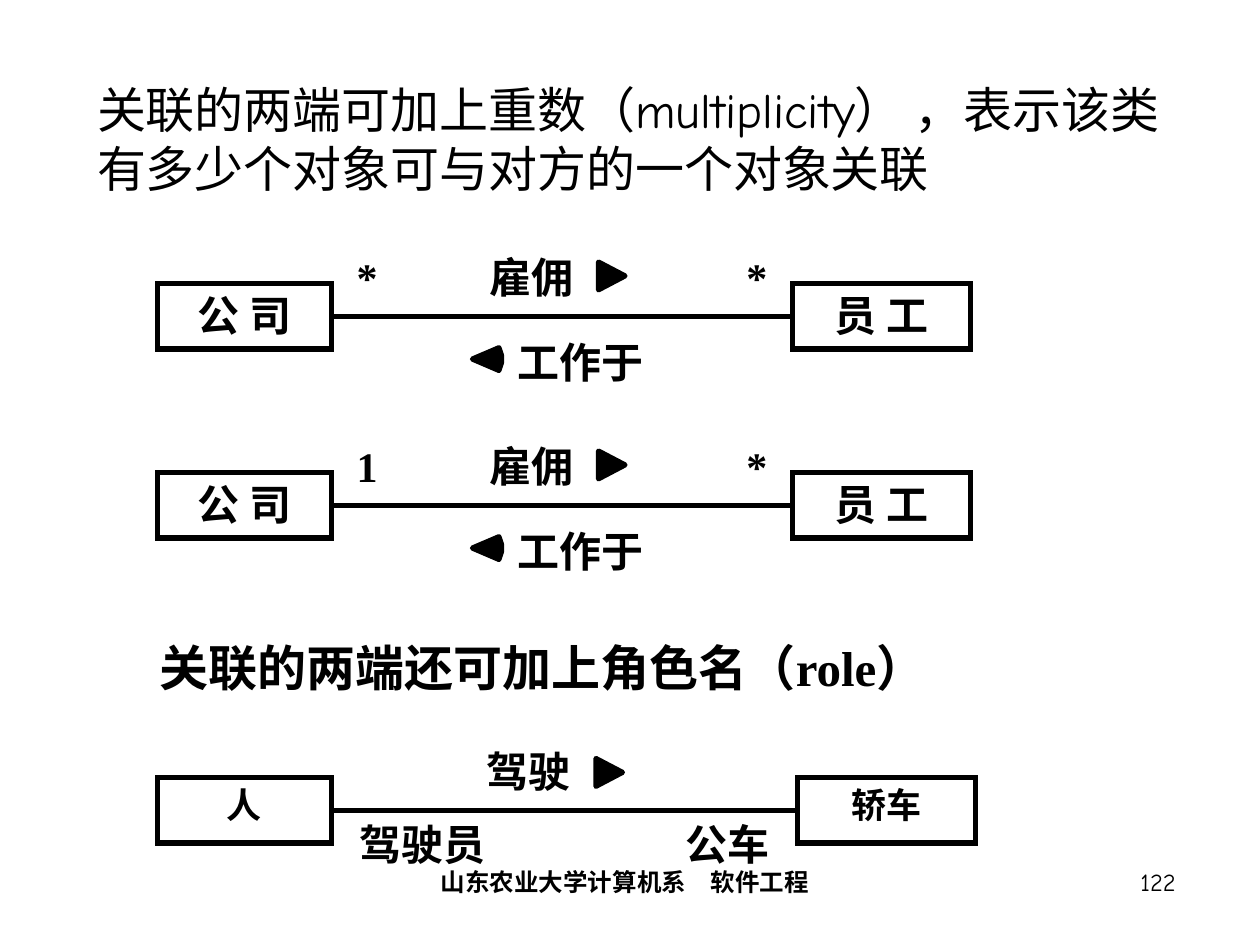
from lxml.etree import SubElement
from pptx import Presentation
from pptx.dml.color import RGBColor
from pptx.enum.shapes import MSO_CONNECTOR, MSO_SHAPE
from pptx.enum.text import MSO_ANCHOR, PP_ALIGN
from pptx.oxml.ns import qn
from pptx.util import Inches, Pt

COLORS = {"ink": "000000"}
SERIF, SANS, HAND = "Times New Roman", "Arial", "Comic Neue"
LEFT, CENTER, RIGHT = PP_ALIGN.LEFT, PP_ALIGN.CENTER, PP_ALIGN.RIGHT
BOX_H = 0.52
RIGHT_ARROW = [(0, 0), (0.21, 0.11), (0, 0.22)]
LEFT_ARROW = [(0.21, 0.18), (0, 0.09), (0.21, 0), (0.23, 0.06), (0.23, 0.12)]


def ink():
    return RGBColor.from_string(COLORS["ink"])


def write(s, text, *, size=24, font=SERIF, bold=True, align=LEFT,
          anchor=MSO_ANCHOR.TOP, margins=(0.1, 0.05), wrap=True):
    tf = s.text_frame
    tf.word_wrap = wrap
    tf.vertical_anchor = anchor
    tf.margin_left = tf.margin_right = Inches(margins[0])
    tf.margin_top = tf.margin_bottom = Inches(margins[1])
    p = tf.paragraphs[0]
    p.alignment = align
    p.space_before = Pt(0)
    r = p.add_run()
    r.text = text
    r.font.size = Pt(size)
    r.font.name = font
    r.font.bold = bold
    r.font.color.rgb = ink()
    return p


def add_text(slide, text, x, y, w, h=0.4, margins=(0, 0), **fmt):
    s = slide.shapes.add_textbox(Inches(x), Inches(y), Inches(w), Inches(h))
    write(s, text, margins=margins, **fmt)


def outline(s):
    s.line.color.rgb = ink()
    s.line.width = Pt(3)


def add_class_box(slide, text, x, y, w, **fmt):
    s = slide.shapes.add_shape(MSO_SHAPE.RECTANGLE, Inches(x), Inches(y),
                               Inches(w), Inches(BOX_H))
    s.shadow.inherit = False
    s.fill.background()
    outline(s)
    SubElement(s.line._get_or_add_ln(), qn("a:miter"), lim="800000")
    write(s, text, align=CENTER, **fmt)
    return s


def add_arrow(slide, outline_points, x, y):
    """Draw a solid reading-direction arrow with its corner at x, y."""
    points = [(Inches(x + dx), Inches(y + dy)) for dx, dy in outline_points]
    builder = slide.shapes.build_freeform(*points[0])
    builder.add_line_segments(points[1:], close=True)
    s = builder.convert_to_shape()
    s.shadow.inherit = False
    s.fill.solid()
    s.fill.fore_color.rgb = ink()
    outline(s)


def add_association(slide, y, left_name, right_name, right_x, **fmt):
    """Join two class boxes whose top edges are at y."""
    left = add_class_box(slide, left_name, 1.25, y, 1.38, **fmt)
    right = add_class_box(slide, right_name, right_x, y, 1.41, **fmt)
    line = slide.shapes.add_connector(MSO_CONNECTOR.STRAIGHT, 0, 0, 0, 0)
    line.begin_connect(right, 1)
    line.end_connect(left, 3)
    outline(line)
    SubElement(line._element.spPr, qn("a:effectLst"))


def add_employment(slide, y, company_count):
    """Draw the employment association, labels starting at y."""
    add_association(slide, y + 0.25, "公 司", "员 工", 6.29, font=SANS)
    add_text(slide, company_count, 2.83, y, 0.84)
    add_text(slide, "雇佣", 3.75, y, 0.94, align=CENTER)
    add_arrow(slide, RIGHT_ARROW, 4.75, y + 0.08)
    add_text(slide, "*", 5.17, y, 0.92, align=RIGHT)
    add_arrow(slide, LEFT_ARROW, 3.75, y + 0.76)
    add_text(slide, "工作于", 4.11, y + 0.67, 1, wrap=False)


def add_driving(slide):
    add_association(slide, 6.17, "人", "轿车", 6.33, size=20)
    add_text(slide, "驾驶", 3.67, 5.92, 1.05, align=CENTER)
    add_arrow(slide, RIGHT_ARROW, 4.73, 6.02)
    for role, x in (("驾驶员", 2.83), ("公车", 5.25)):
        add_text(slide, role, x, 6.5, 1.05, align=CENTER)


def add_body(slide, text):
    body = slide.placeholders[1]
    body.left, body.top = Inches(0.67), Inches(0.58)
    body.width, body.height = Inches(8.83), Inches(1.25)
    p = write(body, text, size=28, font=HAND, bold=False)
    pPr = p._p.get_or_add_pPr()
    pPr.set("marL", "0")
    pPr.set("indent", "0")
    SubElement(pPr, qn("a:buNone"))


def main():
    prs = Presentation()
    prs.slide_width, prs.slide_height = Inches(10), Inches(7.5)
    slide = prs.slides.add_slide(prs.slide_layouts[1])
    title = slide.shapes.title._element
    title.getparent().remove(title)

    add_body(slide, "关联的两端可加上重数（multiplicity） ，"
                    "表示该类有多少个对象可与对方的一个对象关联")
    for y, company_count in ((2, "*"), (3.5, "1")):
        add_employment(slide, y, company_count)
    add_text(slide, "关联的两端还可加上角色名（role）", 1.17, 4.92, 6.83, 0.75,
             size=28, margins=(0.1, 0.05), anchor=MSO_ANCHOR.MIDDLE, wrap=False)
    add_driving(slide)

    footer = {"size": 14, "font": HAND, "margins": (0.1, 0.05)}
    add_text(slide, "山东农业大学计算机系　软件工程", 2, 6.83, 5.92, 0.5,
             align=CENTER, **footer)
    add_text(slide, "122", 7.35, 6.83, 2.08, 0.5, align=RIGHT, bold=False,
             **footer)
    prs.save("out.pptx")


if __name__ == "__main__":
    main()
